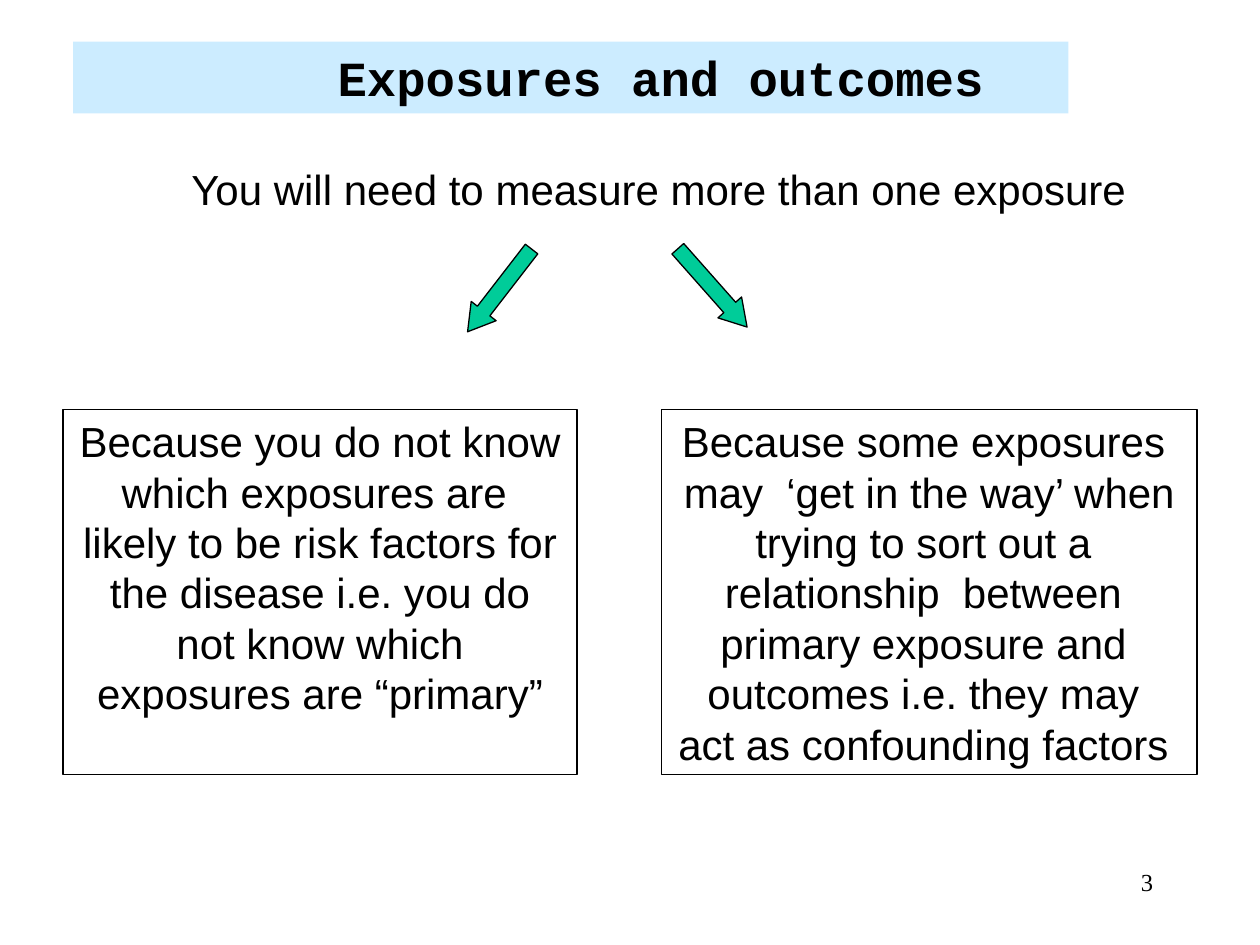
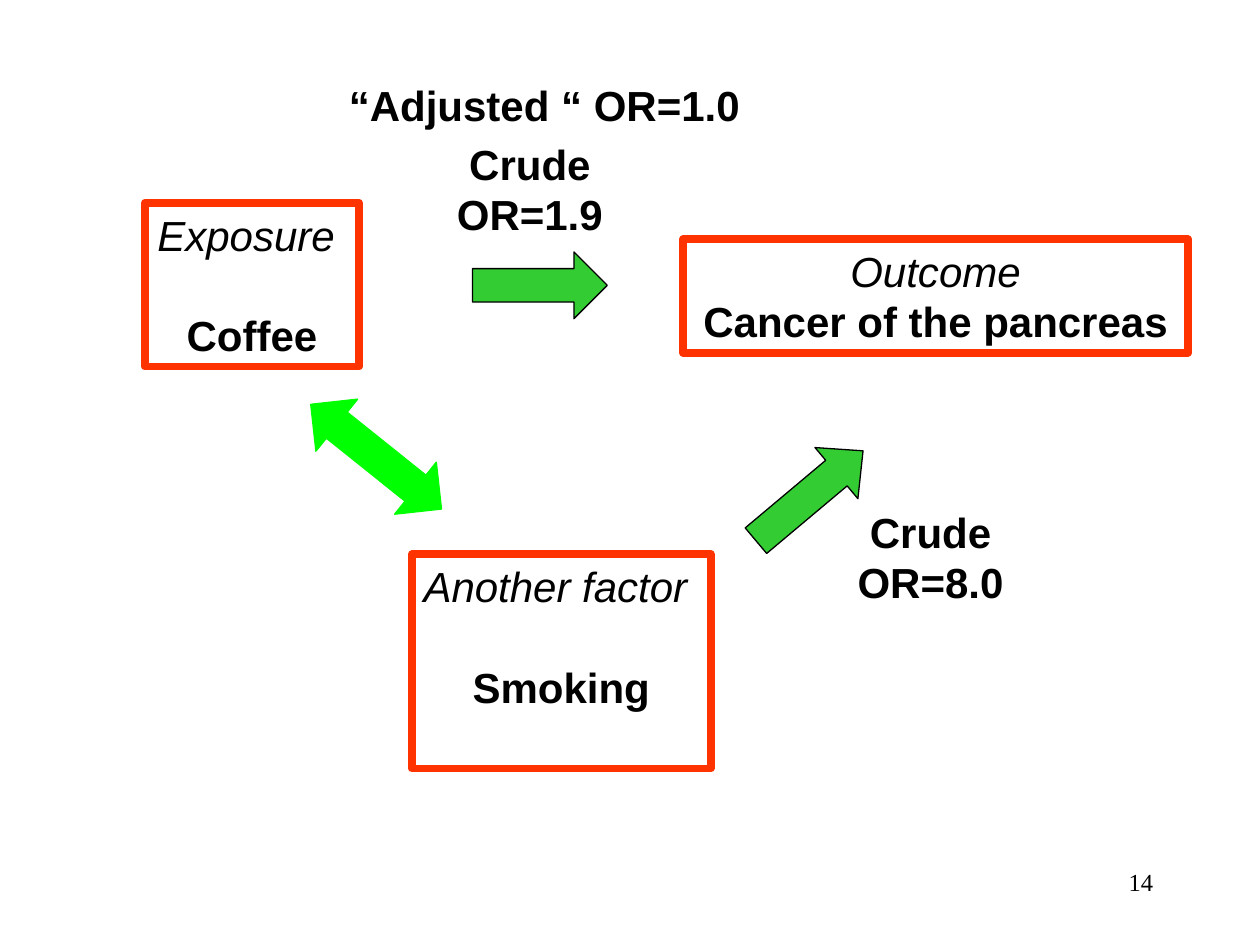
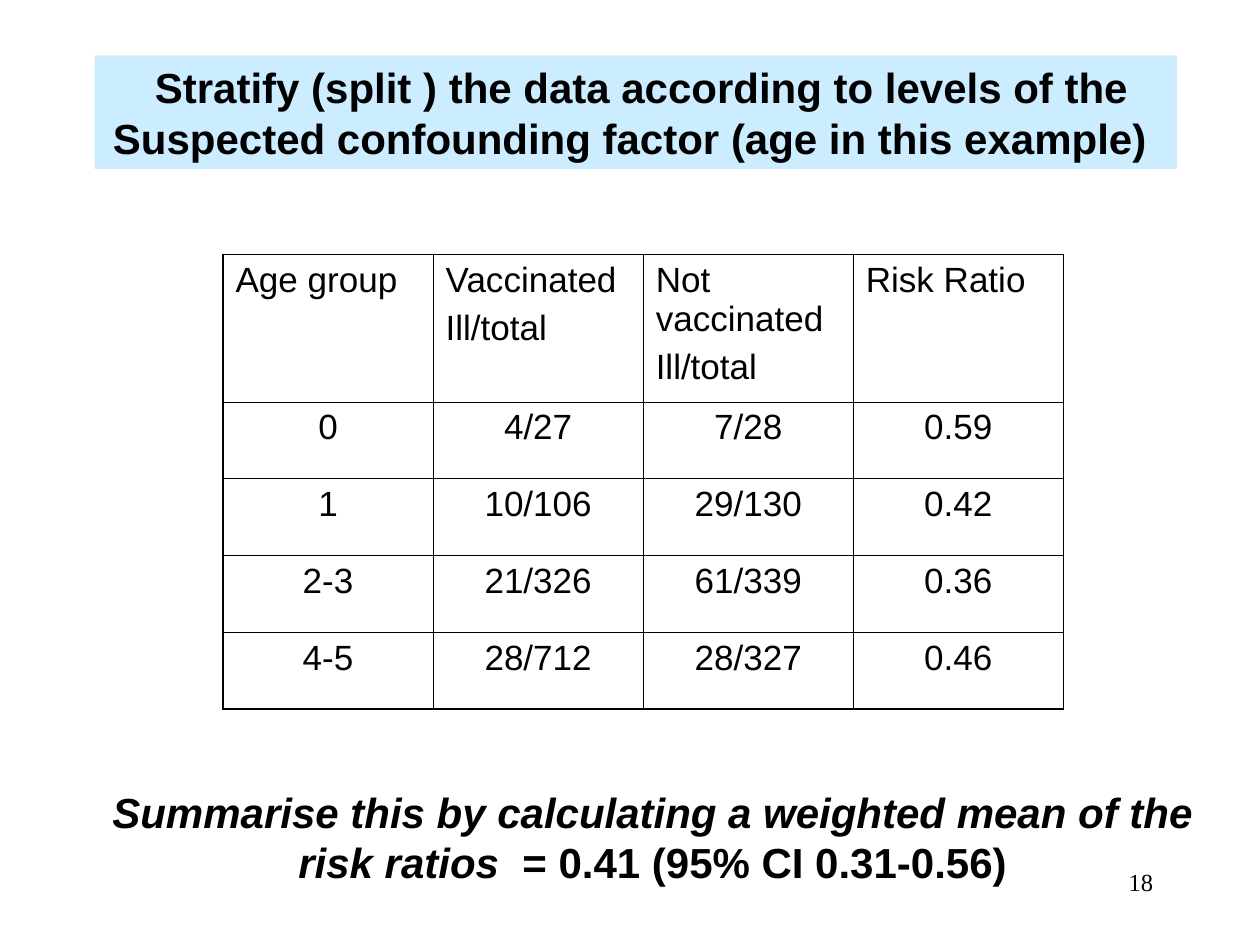
from lxml.etree import SubElement
from pptx import Presentation
from pptx.dml.color import RGBColor
from pptx.enum.shapes import MSO_SHAPE
from pptx.enum.text import MSO_ANCHOR, PP_ALIGN
from pptx.oxml.ns import qn
from pptx.util import Inches, Pt

COLORS = {
    "text": "000000",
    "paper": "FFFFFF",
    "band": "CCECFF",
    "cause": "00CC99",
    "effect": "33CC33",
    "link": "00FF00",
    "frame": "FF3300",
}
BODY_FONT = "Arial"
TITLE_FONT = "Courier New"
NUMBER_FONT = "Times New Roman"
BLANK_LINE = 28.8
THIN, THICK = 0.45, 1.08


def color(name):
    return RGBColor.from_string(COLORS[name])


def style_span(span, size=24, font=BODY_FONT, style=""):
    """Format a run; style holds "b" for bold and "i" for italic."""
    span.font.size = Pt(size)
    span.font.name = font
    span.font.color.rgb = color("text")
    span.font.bold = "b" in style
    span.font.italic = "i" in style


def write_lines(frame, lines, align=PP_ALIGN.CENTER, before=0, **look):
    """Write one paragraph per line and give all runs the same look."""
    frame.text = "\n".join(lines)
    for paragraph in frame.paragraphs:
        paragraph.alignment = align
        paragraph.space_before = Pt(before)
        for span in paragraph.runs:
            style_span(span, **look)


def add_label(page, area, lines, anchor=MSO_ANCHOR.TOP, wrap=False, **look):
    box = page.shapes.add_textbox(*map(Inches, area))
    box.text_frame.word_wrap = wrap
    box.text_frame.vertical_anchor = anchor
    write_lines(box.text_frame, lines, **look)
    return box


def add_figure(page, kind, area, fill=None, line=None, width=0.75):
    figure = page.shapes.add_shape(kind, *map(Inches, area))
    figure.shadow.inherit = False
    if fill:
        figure.fill.solid()
        figure.fill.fore_color.rgb = color(fill)
    else:
        figure.fill.background()
    if line:
        figure.line.color.rgb = color(line)
        figure.line.width = Pt(width)
    else:
        figure.line.fill.background()
    return figure


def add_box(page, area, lines, anchor=MSO_ANCHOR.TOP, wrap=True,
            fill=None, line=None, width=0.75, **look):
    box = add_figure(page, MSO_SHAPE.RECTANGLE, area, fill, line, width)
    box.text_frame.word_wrap = wrap
    box.text_frame.vertical_anchor = anchor
    write_lines(box.text_frame, lines, **look)
    return box


def add_band(page, area, lines, **look):
    return add_box(page, area, lines, fill="band", style="b", **look)


def add_factor(page, area, role, name, gap=0):
    """Add a framed box with an italic role above a bold name."""
    box = add_box(page, area, [role, name], wrap=False, line="frame",
                  width=4.5, style="i")
    name_line = box.text_frame.paragraphs[1]
    name_line.space_before = Pt(gap)
    style_span(name_line.runs[0], style="b")


def add_arrow(page, kind, area, fill, head, turn=0, line="text"):
    arrow = add_figure(page, kind, area, fill, line)
    arrow.adjustments[0] = 0.5
    arrow.adjustments[1] = head
    arrow.rotation = turn


def add_page_number(page, number):
    add_label(page, (7.17, 6.83, 2.08, 0.5), [str(number)], wrap=True,
              align=PP_ALIGN.RIGHT, size=14, font=NUMBER_FONT)


def set_borders(cell, widths):
    properties = cell._tc.get_or_add_tcPr()
    for index, (side, width) in enumerate(widths.items()):
        border = properties.makeelement(qn(f"a:{side}"), {"w": str(Pt(width))})
        fill = SubElement(border, qn("a:solidFill"))
        SubElement(fill, qn("a:srgbClr"), val=COLORS["text"])
        properties.insert(index, border)


def add_grid(page, area, rows, heights):
    """Add a table with thin inner lines and a thicker outline."""
    last_row, last_column = len(rows) - 1, len(rows[0]) - 1
    table = page.shapes.add_table(len(rows), len(rows[0]),
                                  *map(Inches, area)).table
    for r, (row, height) in enumerate(zip(rows, heights)):
        table.rows[r].height = Inches(height)
        for c, text in enumerate(row):
            cell = table.cell(r, c)
            cell.fill.solid()
            cell.fill.fore_color.rgb = color("paper")
            write_lines(cell.text_frame, text.split("\n"), before=5, size=20,
                        align=PP_ALIGN.CENTER if r else PP_ALIGN.LEFT)
            set_borders(cell, {
                "lnL": THIN if c else THICK,
                "lnR": THICK if c == last_column else THIN,
                "lnT": THIN if r else THICK,
                "lnB": THICK if r == last_row else THIN,
            })


def build_exposures(page):
    add_page_number(page, 3)
    band = add_band(page, (0.58, 0.33, 7.9, 0.57), ["Exposures and outcomes"],
                    align=PP_ALIGN.LEFT, size=28, font=TITLE_FONT)
    band.text_frame.margin_left = Inches(2.1)
    add_label(page, (1.42, 1.25, 7.65, 0.5),
              ["You will need to measure more than one exposure"],
              align=PP_ALIGN.LEFT)
    for left, top, turn in ((3.84, 1.89, 37.7), (5.53, 1.87, 318.5)):
        add_arrow(page, MSO_SHAPE.DOWN_ARROW, (left, top, 0.25, 0.83),
                  "cause", 0.83, turn)
    reasons = (
        (0.5, 4.08, [
            "Because you do not know which exposures are ",
            "likely to be risk factors for the disease i.e. you do not know "
            "which exposures are “primary”",
        ]),
        (5.25, 4.25, [
            "Because some exposures ",
            "may  ‘get in the way’ when trying to sort out a ",
            "relationship  between ",
            "primary exposure and ",
            "outcomes i.e. they may ",
            "act as confounding factors ",
        ]),
    )
    for left, width, lines in reasons:
        add_box(page, (left, 3.25, width, 2.9), lines, line="text")


def build_confounding(page):
    add_page_number(page, 14)
    add_factor(page, (1.15, 1.61, 1.7, 1.3), "Exposure ", "Coffee", BLANK_LINE)
    add_factor(page, (5.42, 1.9, 4.01, 0.9), "Outcome",
               "Cancer of the pancreas")
    add_factor(page, (3.27, 4.4, 2.37, 1.7), "Another factor ", "Smoking",
               BLANK_LINE)
    add_arrow(page, MSO_SHAPE.RIGHT_ARROW, (3.75, 2, 1.07, 0.53),
              "effect", 0.5)
    add_arrow(page, MSO_SHAPE.RIGHT_ARROW, (5.87, 3.67, 1.11, 0.53),
              "effect", 0.52, 320)
    add_arrow(page, MSO_SHAPE.LEFT_RIGHT_ARROW, (2.32, 3.36, 1.33, 0.53),
              "link", 0.5, 38.7, line="link")
    for left, top, width, text in (
        (2.67, 0.58, 3.3, "“Adjusted “ OR=1.0"),
        (3, 1.25, 2.41, "Crude OR=1.9"),
        (6.18, 4.17, 2.41, "Crude OR=8.0"),
    ):
        add_label(page, (left, top, width, 0.5), [text], MSO_ANCHOR.MIDDLE,
                  style="b")


def build_stratification(page):
    add_page_number(page, 18)
    add_band(page, (0.75, 0.44, 8.59, 0.9), [
        " Stratify (split ) the data according to levels of the",
        "Suspected confounding factor (age in this example) ",
    ], anchor=MSO_ANCHOR.MIDDLE, wrap=False)
    add_grid(page, (1.77, 2.02, 6.67, 3.6), [
        ["Age group", "Vaccinated\nIll/total", "Not vaccinated\nIll/total",
         "Risk Ratio"],
        ["0", "4/27", "7/28", "0.59"],
        ["1", "10/106", "29/130", "0.42"],
        ["2-3", "21/326", "61/339", "0.36"],
        ["4-5", "28/712", "28/327", "0.46"],
    ], [1.17] + [0.61] * 4)
    summary = add_label(page, (0.7, 6.19, 8.96, 0.9), [
        "Summarise this by calculating a weighted mean of the",
        "risk ratios",
    ], MSO_ANCHOR.MIDDLE, style="bi")
    result = summary.text_frame.paragraphs[1].add_run()
    result.text = "  = 0.41 (95% CI 0.31-0.56)"
    style_span(result, style="b")


def main():
    deck = Presentation()
    deck.slide_width, deck.slide_height = Inches(10), Inches(7.5)
    for build in (build_exposures, build_confounding, build_stratification):
        build(deck.slides.add_slide(deck.slide_layouts[6]))
    deck.save("out.pptx")


if __name__ == "__main__":
    main()
